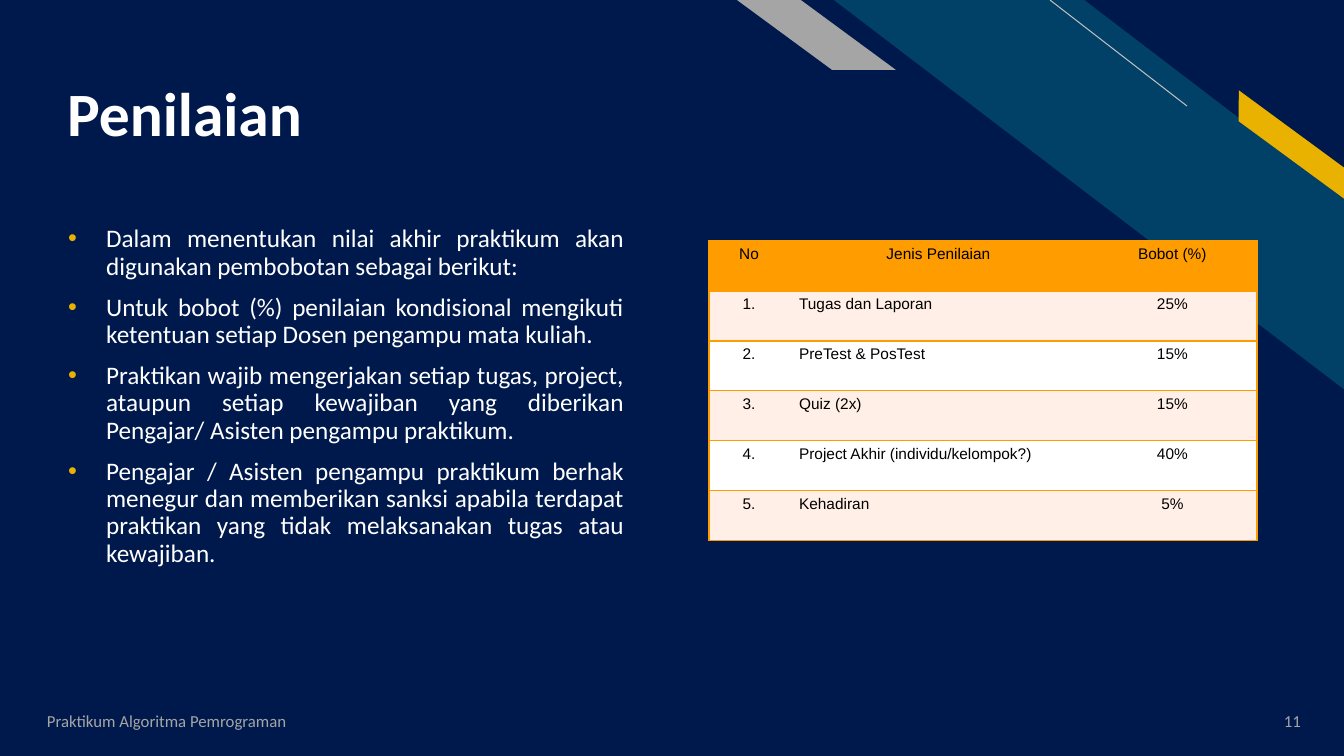
from lxml.etree import SubElement
from pptx import Presentation
from pptx.dml.color import RGBColor
from pptx.enum.shapes import MSO_CONNECTOR, MSO_SHAPE
from pptx.enum.text import MSO_ANCHOR, MSO_AUTO_SIZE, PP_ALIGN
from pptx.oxml.ns import qn
from pptx.util import Pt

NAVY, TEAL, GOLD, GREY = "00194C", "014067", "EAB200", "A5A5A5"
WHITE, BLACK, ORANGE, PEACH = "FFFFFF", "000000", "FF9D00", "FFEFE6"

HEADING = "Penilaian"
RULES = [
    "Dalam menentukan nilai akhir praktikum akan digunakan pembobotan sebagai berikut:",
    "Untuk bobot (%) penilaian kondisional mengikuti ketentuan setiap Dosen pengampu mata kuliah.",
    "Praktikan wajib mengerjakan setiap tugas, project, ataupun setiap kewajiban yang diberikan "
    "Pengajar/ Asisten pengampu praktikum.",
    "Pengajar / Asisten pengampu praktikum berhak menegur dan memberikan sanksi apabila terdapat "
    "praktikan yang tidak melaksanakan tugas atau kewajiban.",
]
WEIGHTS = [
    ("No", "Jenis Penilaian", "Bobot (%)"),
    ("1.", "Tugas dan Laporan", "25%"),
    ("2.", "PreTest & PosTest", "15%"),
    ("3.", "Quiz (2x)", "15%"),
    ("4.", "Project Akhir (individu/kelompok?)", "40%"),
    ("5.", "Kehadiran", "5%"),
]
COLUMN_WIDTHS = (80, 299, 169)
ROW_HEIGHT = 50
BANDS = [
    (MSO_SHAPE.DIAGONAL_STRIPE, (834, 0, 511, 390), 0.51, 0, TEAL),
    (MSO_SHAPE.PARALLELOGRAM, (1217, 132, 149, 25), 0.72, 36.3, GOLD),
    (MSO_SHAPE.PARALLELOGRAM, (737, 0, 159, 70), 1.36, 0, GREY),
]
FOOTERS = [
    ("Praktikum Algoritma Pemrograman", (37, 701, 454, 40), PP_ALIGN.LEFT),
    ("11", (1229, 701, 82, 40), PP_ALIGN.RIGHT),
]


def px(length):
    return round(length * 914400 / 100.8)


def colour(value):
    return RGBColor.from_string(value)


def write(paragraph, words, size, font, ink, bold=False, align=PP_ALIGN.LEFT):
    paragraph.alignment = align
    run = paragraph.add_run()
    run.text = words
    run.font.size = Pt(size)
    run.font.name = font
    run.font.bold = bold
    run.font.color.rgb = colour(ink)


def place(holder, left, top, width, height, anchor):
    holder.left, holder.top, holder.width, holder.height = map(px, (left, top, width, height))
    frame = holder.text_frame
    frame.word_wrap = True
    frame.auto_size = MSO_AUTO_SIZE.NONE
    frame.vertical_anchor = anchor
    return frame


def add_bullet(paragraph):
    properties = paragraph._p.get_or_add_pPr()
    properties.set("marL", str(px(38)))
    properties.set("indent", str(-px(38)))
    SubElement(SubElement(properties, qn("a:buClr")), qn("a:srgbClr"), val=GOLD)
    SubElement(properties, qn("a:buFont"), typeface="Arial")
    SubElement(properties, qn("a:buChar"), char="•")


def add_borders(cell, visible):
    properties = cell._tc.get_or_add_tcPr()
    for order, side in enumerate("LRTB"):
        border = SubElement(properties, qn("a:ln" + side), w=str(Pt(1)))
        if side in visible:
            SubElement(SubElement(border, qn("a:solidFill")), qn("a:srgbClr"), val=ORANGE)
        else:
            SubElement(border, qn("a:noFill"))
        properties.insert(order, border)


def add_bands(slide):
    for preset, box, adjustment, rotation, fill in BANDS:
        band = slide.shapes.add_shape(preset, *map(px, box))
        band.adjustments[0] = adjustment
        band.rotation = rotation
        band.element.spPr.find(qn("a:xfrm")).set("flipH", "1")
        band.shadow.inherit = False
        band.fill.solid()
        band.fill.fore_color.rgb = colour(fill)
        band.line.fill.background()
    streak = slide.shapes.add_connector(MSO_CONNECTOR.STRAIGHT, *map(px, (1187, 106, 1050, 0)))
    streak.line.color.rgb = colour("BFBFBF")
    streak.line.width = Pt(0.75)
    SubElement(streak.element.spPr, qn("a:effectLst"))


def add_text(slide):
    title, body = slide.shapes.title, slide.placeholders[1]
    for holder in (title, body):
        slide.shapes.element.append(holder.element)

    heading = place(title, 57, 23, 918, 127, MSO_ANCHOR.BOTTOM)
    heading.margin_bottom = 0
    heading.paragraphs[0].line_spacing = 0.9
    write(heading.paragraphs[0], HEADING, 44, "Calibri", WHITE, True)

    rules = place(body, 58, 221, 576, 451, MSO_ANCHOR.TOP)
    for index, rule in enumerate(RULES):
        paragraph = rules.add_paragraph() if index else rules.paragraphs[0]
        paragraph.line_spacing = 0.9
        paragraph.space_before = Pt(10 if index else 0)
        add_bullet(paragraph)
        write(paragraph, rule, 18, "Calibri", WHITE, align=PP_ALIGN.JUSTIFY)

    for words, box, align in FOOTERS:
        footer = place(slide.shapes.add_textbox(*map(px, box)), *box, MSO_ANCHOR.MIDDLE)
        write(footer.paragraphs[0], words, 12, "Calibri", GREY, align=align)


def add_weights(slide):
    size = (sum(COLUMN_WIDTHS), ROW_HEIGHT * len(WEIGHTS))
    weights = slide.shapes.add_table(
        len(WEIGHTS), len(COLUMN_WIDTHS), *map(px, (709, 241, *size))).table
    for column, width in zip(weights.columns, COLUMN_WIDTHS):
        column.width = px(width)
    for row, entries in enumerate(WEIGHTS):
        weights.rows[row].height = px(ROW_HEIGHT)
        band = ORANGE if row == 0 else PEACH if row % 2 else WHITE
        for column, words in enumerate(entries):
            cell = weights.cell(row, column)
            cell.fill.solid()
            cell.fill.fore_color.rgb = colour(band)
            add_borders(cell, ("LTB", "TB", "RTB")[column])
            align = PP_ALIGN.LEFT if row and column == 1 else PP_ALIGN.CENTER
            write(cell.text_frame.paragraphs[0], words, 11, "Arial", BLACK, align=align)


def main():
    deck = Presentation()
    deck.slide_width, deck.slide_height = px(1344), px(756)
    slide = deck.slides.add_slide(deck.slide_layouts[1])
    slide.background.fill.solid()
    slide.background.fill.fore_color.rgb = colour(NAVY)
    add_bands(slide)
    add_text(slide)
    add_weights(slide)
    deck.save("out.pptx")


if __name__ == "__main__":
    main()
